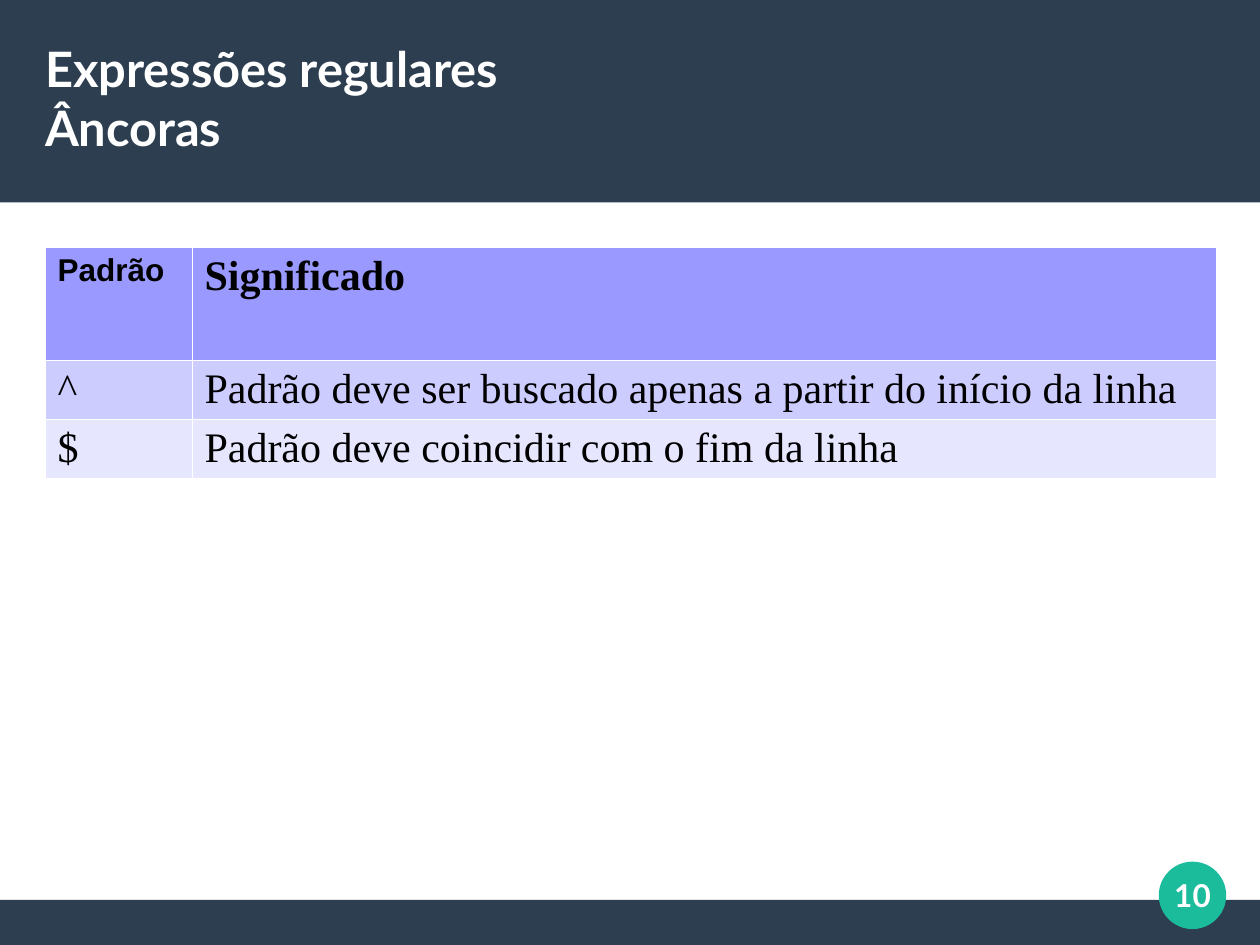
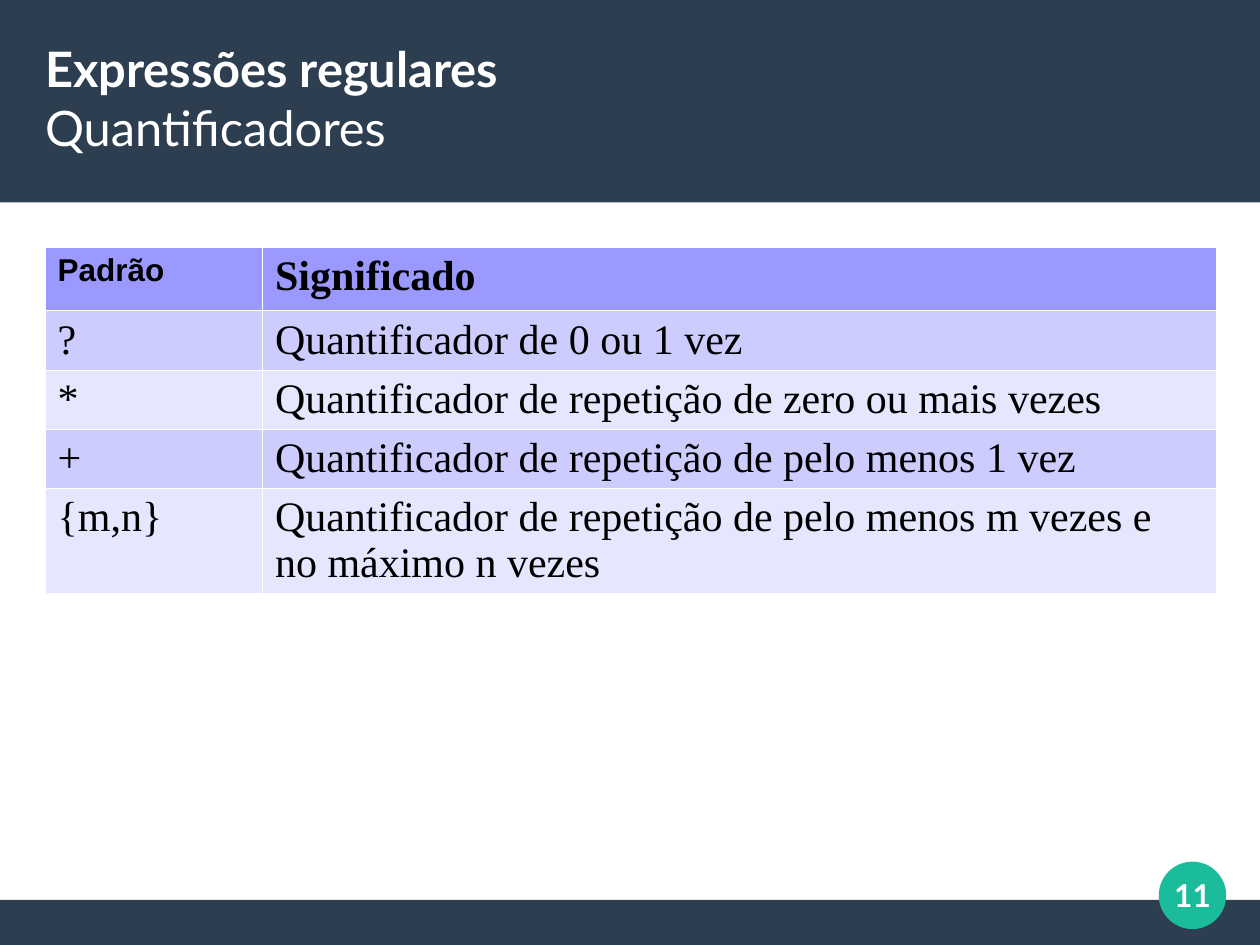
"""Build two slides on regular expressions: anchors and quantifiers."""
from dataclasses import dataclass
from typing import Any

import pptx
import pptx.dml.color
import pptx.enum.shapes
import pptx.enum.text
import pptx.oxml
import pptx.oxml.ns
import pptx.util
from pptx.util import Cm

RGB = pptx.dml.color.RGBColor.from_string
Pt = pptx.util.Pt
SHAPE = pptx.enum.shapes.MSO_SHAPE
ALIGN = pptx.enum.text.PP_ALIGN
ANCHOR = pptx.enum.text.MSO_ANCHOR


@dataclass(frozen=True)
class TextStyle:
    font: str
    size: float
    color: str
    bold: bool = False


@dataclass(frozen=True)
class Theme:
    navy: str = "2C3E50"
    green: str = "1ABC9C"
    white: str = "FFFFFF"
    head_fill: str = "9999FF"
    row_fills: tuple[str, str] = ("CCCCFF", "E6E6FF")
    border: float = 0.06
    title: TextStyle = TextStyle("Lato", 27.9, "FFFFFF", True)
    subtitle: TextStyle = TextStyle("Lato", 27.9, "FFFFFF")
    number: TextStyle = TextStyle("Lato", 18, "FFFFFF", True)
    pattern_head: TextStyle = TextStyle("Arial", 18, "000000", True)
    meaning_head: TextStyle = TextStyle("Times New Roman", 24, "000000", True)
    entry: TextStyle = TextStyle("Times New Roman", 24, "000000")


THEME = Theme()


@dataclass(frozen=True)
class Area:
    left: float
    top: float
    width: float
    height: float

    def place(self) -> tuple[Any, ...]:
        return Cm(self.left), Cm(self.top), Cm(self.width), Cm(self.height)


@dataclass(frozen=True)
class Decoration:
    kind: Any
    area: Area
    fill: str


@dataclass(frozen=True)
class Topic:
    number: int
    subtitle: str
    subtitle_style: TextStyle
    pattern_width: float
    row_heights: tuple[float, ...]
    entries: tuple[tuple[str, str], ...]


PAGE = Area(0, 0, 25.4, 19.05)
TITLE = Area(0.91, 0.76, 23.6, 2.41)
TABLE = Area(0.91, 4.98, 23.6, 4.34)
NUMBER = Area(23.14, 17.15, 1.8, 1.8)
DECORATIONS = (
    Decoration(SHAPE.RECTANGLE, Area(0, 18.14, 25.4, 0.91), THEME.navy),
    Decoration(SHAPE.RECTANGLE, Area(0, 0, 25.4, 4.08), THEME.navy),
    Decoration(SHAPE.OVAL, Area(23.36, 17.37, 1.36, 1.36), THEME.green),
)
TOPICS = (
    Topic(10, "Âncoras", THEME.title, 2.96, (2.28, 1.02, 1.02), (
        ("^", "Padrão deve ser buscado apenas a partir do início da linha"),
        ("$", "Padrão deve coincidir com o fim da linha"),
    )),
    Topic(11, "Quantificadores", THEME.subtitle, 4.38, (1.28, 1.02, 1.02, 1.02, 1.78), (
        ("?", "Quantificador de 0 ou 1 vez"),
        ("*", "Quantificador de repetição de zero ou mais vezes"),
        ("+", "Quantificador de repetição de pelo menos 1 vez"),
        ("{m,n}", "Quantificador de repetição de pelo menos m vezes e no máximo n vezes"),
    )),
)


def apply(target: Any, values: dict[str, Any]) -> None:
    for name, value in values.items():
        setattr(target, name, value)


def add_span(para: Any, text: str, style: TextStyle) -> None:
    span = para.add_run()
    span.text = text
    apply(span.font, {"name": style.font, "size": Pt(style.size), "bold": style.bold})
    span.font.color.rgb = RGB(style.color)


def prepare_frame(frame: Any) -> Any:
    apply(frame, {
        "word_wrap": True, "auto_size": pptx.enum.text.MSO_AUTO_SIZE.NONE,
        "vertical_anchor": ANCHOR.MIDDLE, "margin_left": 0, "margin_right": 0,
        "margin_top": 0, "margin_bottom": 0,
    })
    return frame.paragraphs[0]


def add_decoration(page: Any, decoration: Decoration) -> None:
    shape = page.shapes.add_shape(decoration.kind, *decoration.area.place())
    shape.shadow.inherit = False
    shape.fill.solid()
    shape.fill.fore_color.rgb = RGB(decoration.fill)
    shape.line.fill.background()
    page.shapes.title.element.addprevious(shape.element)


def fill_title(page: Any, topic: Topic) -> None:
    box = page.shapes.title
    apply(box, dict(zip(("left", "top", "width", "height"), TITLE.place())))
    para = prepare_frame(box.text_frame)
    para.alignment = ALIGN.LEFT
    add_span(para, "Expressões regulares", THEME.title)
    para.add_line_break()
    add_span(para, topic.subtitle, topic.subtitle_style)


def add_number(page: Any, number: int) -> None:
    box = page.shapes.add_textbox(*NUMBER.place())
    para = prepare_frame(box.text_frame)
    para.alignment = ALIGN.CENTER
    add_span(para, str(number), THEME.number)


def fill_cell(cell: Any, text: str, style: TextStyle, fill: str) -> None:
    properties = cell._tc.get_or_add_tcPr()
    for side in ("lnL", "lnR", "lnT", "lnB"):
        properties.append(pptx.oxml.parse_xml(
            f'<a:{side} {pptx.oxml.ns.nsdecls("a")} w="{int(Pt(THEME.border))}"><a:solidFill>'
            f'<a:srgbClr val="{THEME.white}"/></a:solidFill></a:{side}>'))
    cell.fill.solid()
    cell.fill.fore_color.rgb = RGB(fill)
    add_span(cell.text_frame.paragraphs[0], text, style)


def add_pattern_table(page: Any, topic: Topic) -> None:
    rows = (("Padrão", "Significado"), *topic.entries)
    area = Area(TABLE.left, TABLE.top, TABLE.width, sum(topic.row_heights))
    table = page.shapes.add_table(len(rows), 2, *area.place()).table
    table.horz_banding = False
    widths = (topic.pattern_width, TABLE.width - topic.pattern_width)
    for column, width in zip(table.columns, widths):
        column.width = Cm(width)
    for index, (texts, height) in enumerate(zip(rows, topic.row_heights)):
        table.rows[index].height = Cm(height)
        fill = THEME.row_fills[(index - 1) % 2] if index else THEME.head_fill
        styles = (THEME.entry,) * 2 if index else (THEME.pattern_head, THEME.meaning_head)
        for cell, text, style in zip(table.rows[index].cells, texts, styles):
            fill_cell(cell, text, style, fill)


def add_topic(deck: Any, topic: Topic) -> None:
    page = deck.slides.add_slide(deck.slide_layouts.get_by_name("Title Only"))
    for decoration in DECORATIONS:
        add_decoration(page, decoration)
    fill_title(page, topic)
    add_pattern_table(page, topic)
    add_number(page, topic.number)


def main() -> None:
    deck = pptx.Presentation()
    apply(deck, {"slide_width": Cm(PAGE.width), "slide_height": Cm(PAGE.height)})
    for topic in TOPICS:
        add_topic(deck, topic)
    deck.save("out.pptx")


if __name__ == "__main__":
    main()
